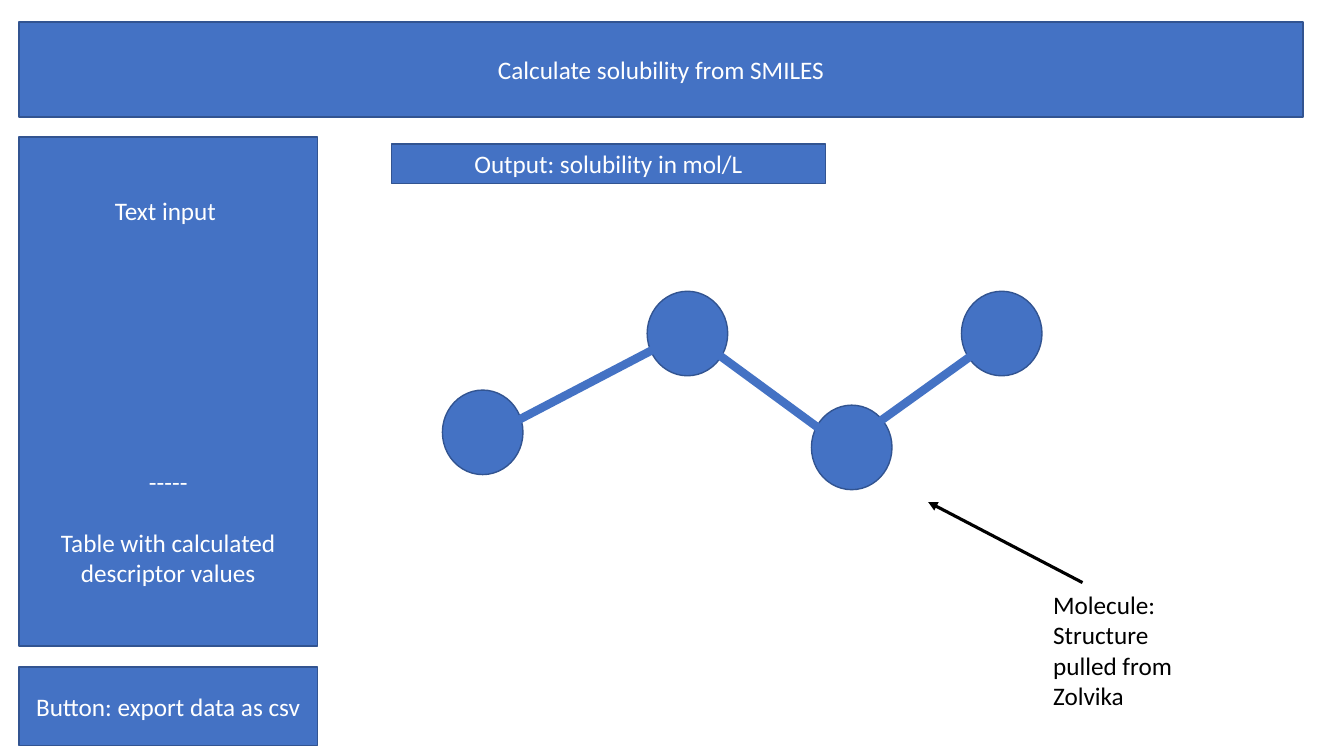
from pptx import Presentation
from pptx.dml.color import RGBColor
from pptx.enum.shapes import MSO_CONNECTOR, MSO_SHAPE
from pptx.enum.text import MSO_ANCHOR, MSO_AUTO_SIZE, PP_ALIGN
from pptx.util import Cm, Pt
from lxml.etree import SubElement
from pptx.oxml.ns import qn

HUES = {"fill": "4472C4", "edge": "325491", "light": "FFFFFF", "dark": "000000"}
FONT, SIZE, ROW = "Calibri", 18, 21.5

PANELS = [
    ((0.48, 0.56, 32.36, 2.39), [("Calculate solubility from SMILES", 0)]),
    ((0.48, 3.45, 7.52, 12.83), [
        ("Text input ", 0),
        ("-----", 8),
        ("Table with calculated descriptor values", 1),
    ]),
    ((9.86, 3.63, 10.95, 0.99), [("Output: solubility in mol/L", 0)]),
    ((0.48, 16.81, 7.52, 1.98), [("Button: export data as csv", 0)]),
]
ATOM = (2.03, 2.13)
ATOMS = [(11.15, 9.83), (16.31, 7.34), (20.45, 10.21), (24.23, 7.34)]
BONDS = [
    (12.42, 10.92, 17.32, 8.36),
    (21.89, 11.71, 17.32, 8.36),
    (21.18, 11.33, 25.25, 8.41),
]
ARROW = (27.28, 14.68, 23.39, 12.65)
NOTE = ((26.29, 14.73, 4.47, 3.33),
        [("Molecule:", 0), ("Structure pulled from Zolvika", 0)])


def hue(name):
    return RGBColor.from_string(HUES[name])


def lengths(box):
    return [Cm(n) for n in box]


def write(frame, lines, color, align):
    frame.word_wrap = True
    for i, (text, gap) in enumerate(lines):
        para = frame.paragraphs[0] if i == 0 else frame.add_paragraph()
        para.text = text
        para.alignment = align
        para.space_before = Pt(gap * ROW)
        para.font.name = FONT
        para.font.size = Pt(SIZE)
        para.font.color.rgb = hue(color)


def block(kind, box):
    shape = slide.shapes.add_shape(kind, *lengths(box))
    shape.shadow.inherit = False
    shape.fill.solid()
    shape.fill.fore_color.rgb = hue("fill")
    shape.line.color.rgb = hue("edge")
    shape.line.width = Pt(1)
    return shape


def link(ends, color, width):
    line = slide.shapes.add_connector(MSO_CONNECTOR.STRAIGHT, *lengths(ends))
    line.line.color.rgb = hue(color)
    line.line.width = Pt(width)
    SubElement(line.element.spPr, qn("a:effectLst"))
    return line


deck = Presentation()
deck.slide_width, deck.slide_height = Cm(33.87), Cm(19.05)
slide = deck.slides.add_slide(deck.slide_layouts[6])

for box, lines in PANELS:
    frame = block(MSO_SHAPE.RECTANGLE, box).text_frame
    frame.vertical_anchor = MSO_ANCHOR.MIDDLE
    write(frame, lines, "light", PP_ALIGN.CENTER)

for spot in ATOMS:
    block(MSO_SHAPE.OVAL, spot + ATOM)

for ends in BONDS:
    link(ends, "fill", 6)

arrow = link(ARROW, "dark", 2.25)
SubElement(arrow.element.spPr.find(qn("a:ln")), qn("a:tailEnd"), type="triangle")

box, lines = NOTE
frame = slide.shapes.add_textbox(*lengths(box)).text_frame
write(frame, lines, "dark", PP_ALIGN.LEFT)
frame.auto_size = MSO_AUTO_SIZE.SHAPE_TO_FIT_TEXT

deck.save("out.pptx")
